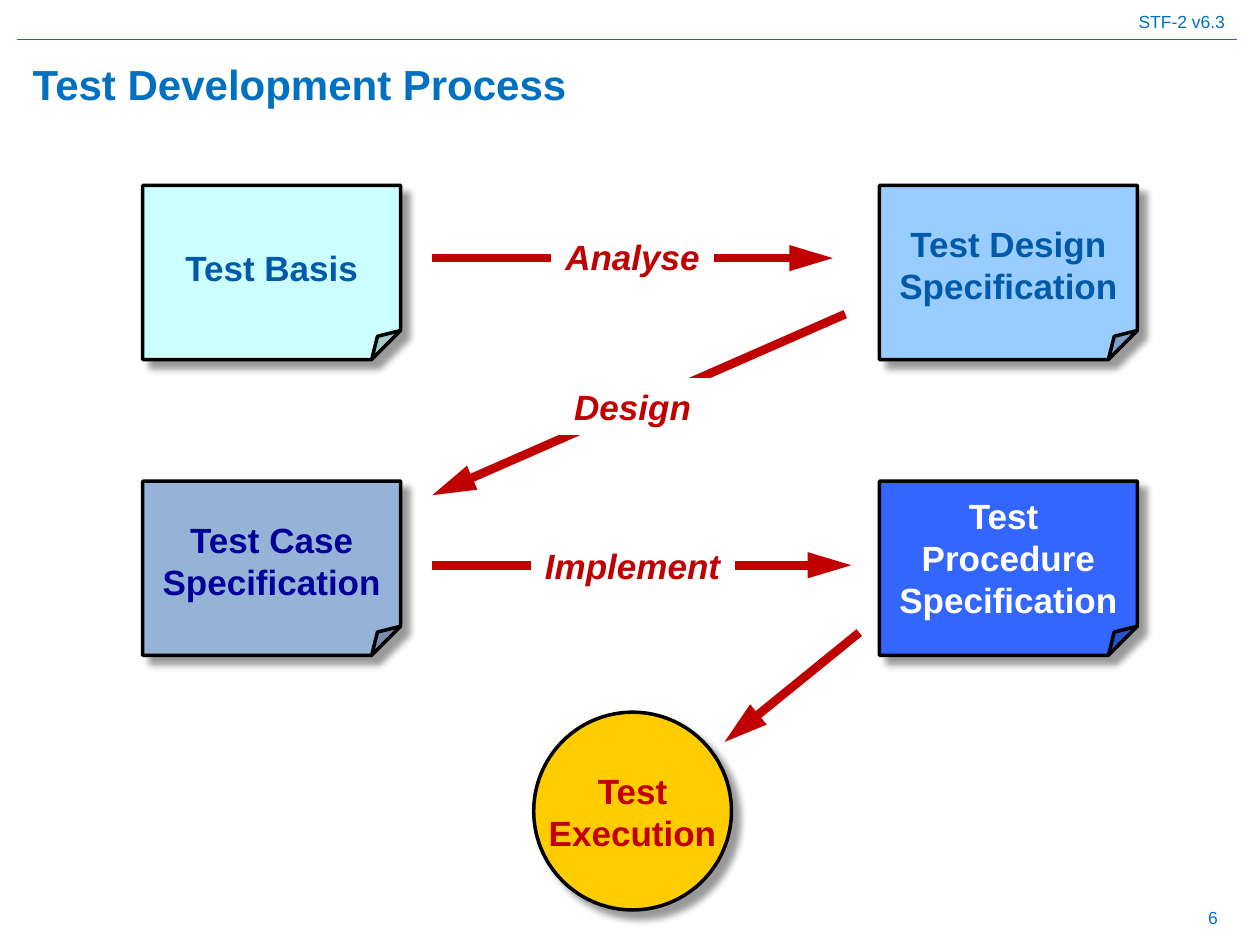
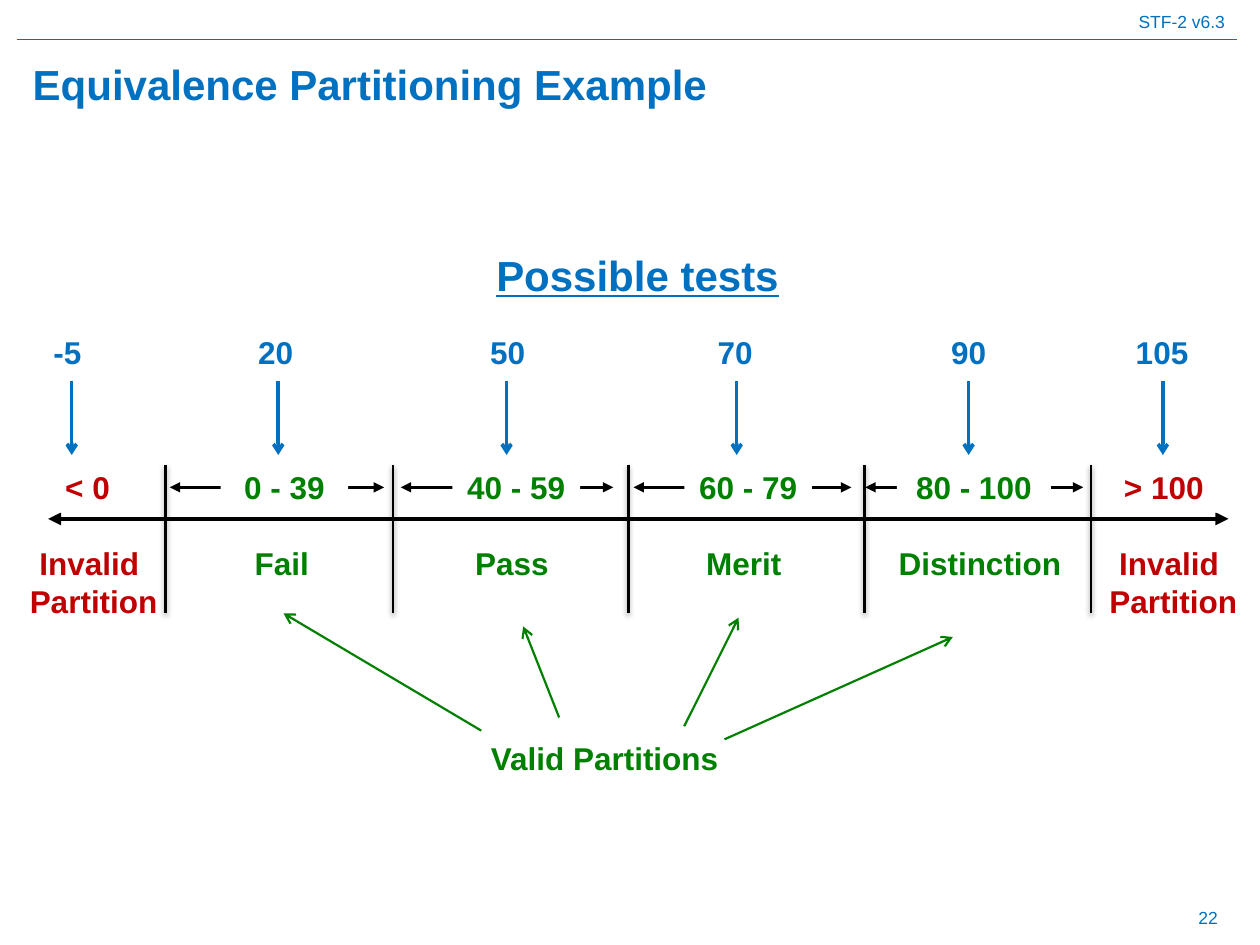
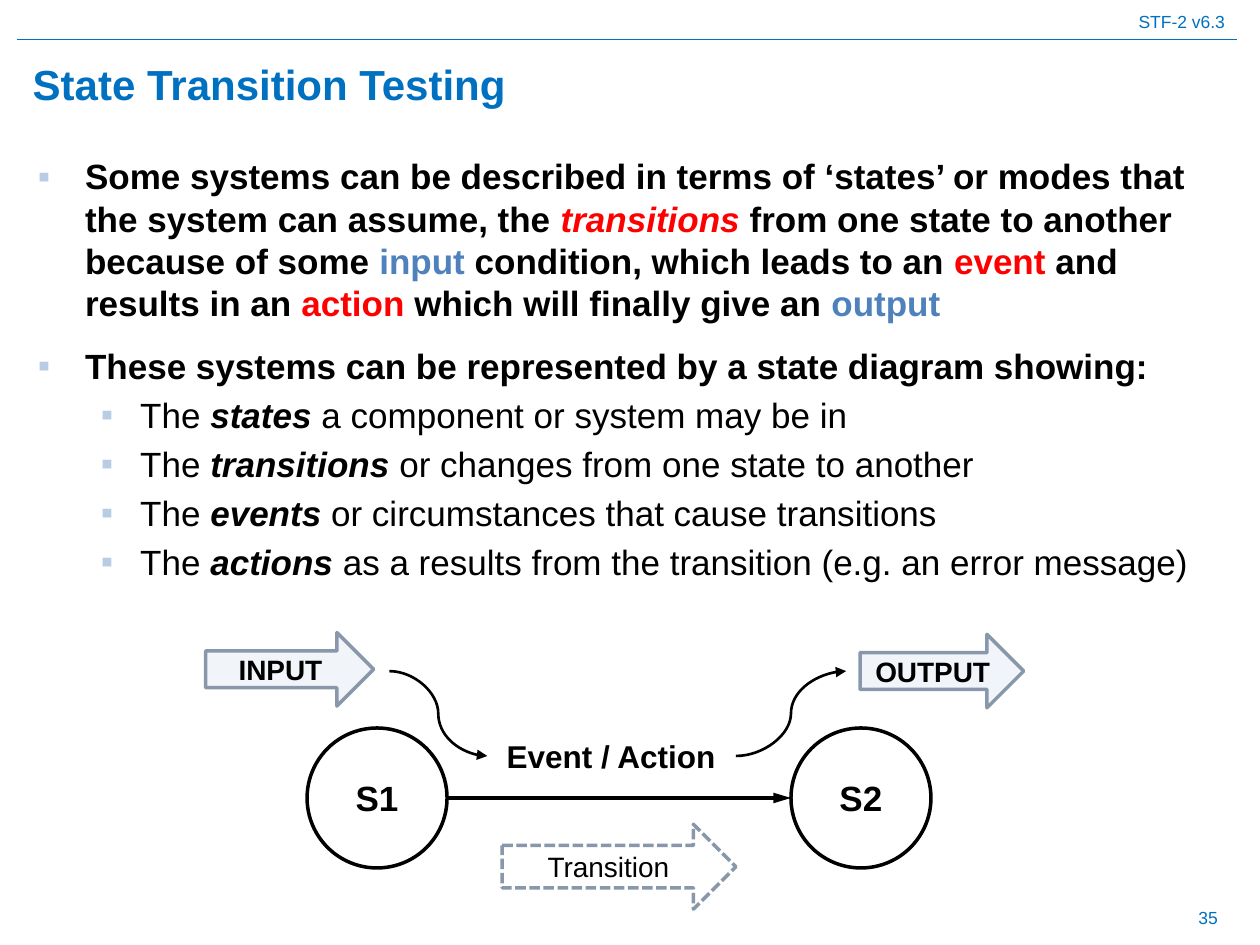
from dataclasses import dataclass, replace

from lxml.etree import SubElement
from pptx import Presentation
from pptx.dml.color import RGBColor
from pptx.enum.dml import MSO_LINE as Dash
from pptx.enum.shapes import MSO_CONNECTOR as Link, MSO_SHAPE as Shape
from pptx.enum.text import MSO_ANCHOR as Anchor, MSO_AUTO_SIZE as AutoSize, PP_ALIGN as Align
from pptx.oxml.ns import qn
from pptx.util import Pt


@dataclass(frozen=True)
class Theme:
    font: str = "Arial"
    blue: str = "0070C0"
    deep_blue: str = "005AA9"
    navy: str = "000099"
    red: str = "C00000"
    bright_red: str = "FF0000"
    steel: str = "4F81BD"
    green: str = "008000"
    black: str = "000000"
    white: str = "FFFFFF"
    bullet: str = "B8CCE4"
    arrow_fill: str = "F1F5FA"
    arrow_edge: str = "8897A9"
    small: int = 10
    label: int = 16
    scale: int = 18
    body: int = 20
    title: int = 24


THEME = Theme()


@dataclass(frozen=True)
class TextStyle:
    size: int
    colour: str
    bold: bool = True
    italic: bool = False
    underline: bool = False


@dataclass(frozen=True)
class Shadow:
    opacity: int
    blur: float
    distance: float
    angle: int


CARD_SHADOW = Shadow(40, 4, 6, 45)
DIVIDER_SHADOW = Shadow(38, 3.1, 1.6, 90)

TITLE = TextStyle(THEME.title, THEME.blue)
FRAME = TextStyle(THEME.small, THEME.blue, bold=False)
STEP = TextStyle(THEME.body, THEME.red, italic=True)
BODY = TextStyle(THEME.body, THEME.black)
ARROW_LABEL = TextStyle(THEME.label, THEME.black)


def rgb(colour):
    return RGBColor.from_string(colour)


def style_font(font, style):
    font.name = THEME.font
    font.size = Pt(style.size)
    font.bold = style.bold
    font.italic = style.italic
    font.underline = style.underline
    font.color.rgb = rgb(style.colour)


def write_lines(frame, text, style, align=Align.CENTER, anchor=Anchor.MIDDLE):
    """Fill the frame with one paragraph for each line of text."""
    frame.auto_size = AutoSize.NONE
    frame.vertical_anchor = anchor
    frame.text = text
    for paragraph in frame.paragraphs:
        paragraph.alignment = align
        style_font(paragraph.font, style)


def set_effects(element, shadow=None):
    """Replace the theme's shadow by the given one, or by none."""
    effects = SubElement(element.spPr, qn("a:effectLst"))
    if shadow:
        outer = SubElement(effects, qn("a:outerShdw"), blurRad=str(Pt(shadow.blur)),
                           dist=str(Pt(shadow.distance)), dir=str(shadow.angle * 60000),
                           algn="ctr", rotWithShape="0")
        colour = SubElement(outer, qn("a:srgbClr"), val=THEME.black)
        SubElement(colour, qn("a:alpha"), val=str(shadow.opacity * 1000))


def add_text(slide, box, text, style, align=Align.LEFT, anchor=Anchor.TOP):
    frame = slide.shapes.add_textbox(*map(Pt, box)).text_frame
    frame.word_wrap = True
    write_lines(frame, text, style, align, anchor)


def add_node(slide, kind, box, text, style, fill=THEME.white, edge=THEME.black,
             edge_width=2, shadow=None, anchor=Anchor.MIDDLE):
    node = slide.shapes.add_shape(kind, *map(Pt, box))
    node.fill.solid()
    node.fill.fore_color.rgb = rgb(fill)
    if edge:
        node.line.color.rgb = rgb(edge)
        node.line.width = Pt(edge_width)
    else:
        node.line.fill.background()
    set_effects(node.element, shadow)
    node.text_frame.word_wrap = False
    write_lines(node.text_frame, text, style, anchor=anchor)
    return node


def add_label(slide, box, text, style, edge=None, edge_width=1):
    """Add a white label that hides the lines beneath it."""
    add_node(slide, Shape.RECTANGLE, box, text, style, edge=edge,
             edge_width=edge_width, anchor=Anchor.TOP)


def add_line(slide, start, end, colour, width, head=None, tail=None, length="med",
             shadow=None, kind=Link.STRAIGHT):
    line = slide.shapes.add_connector(kind, *map(Pt, (*start, *end)))
    line.line.color.rgb = rgb(colour)
    line.line.width = Pt(width)
    outline = line.element.spPr.find(qn("a:ln"))
    for tag, arrow in (("a:headEnd", head), ("a:tailEnd", tail)):
        if arrow:
            SubElement(outline, qn(tag), type=arrow, w="med", len=length)
    set_effects(line.element, shadow)


def add_bullet(paragraph, level, runs, gap):
    """Write a bullet from (text, style) runs."""
    margin, hang = ((27, 27), (58.5, 22.5))[level]
    paragraph.level = level
    properties = paragraph._p.get_or_add_pPr()
    properties.set("marL", str(Pt(margin)))
    properties.set("indent", str(-Pt(hang)))
    colour = SubElement(properties, qn("a:buClr"))
    SubElement(colour, qn("a:srgbClr"), val=THEME.bullet)
    SubElement(properties, qn("a:buFont"), typeface=THEME.font)
    SubElement(properties, qn("a:buChar"), char="▪")
    paragraph.space_before = Pt(gap)
    base = runs[0][1]
    style_font(paragraph.font, base)
    for text, style in runs:
        run = paragraph.add_run()
        run.text = text
        if style != base:
            style_font(run.font, style)


def add_titled_slide(deck, title, number):
    slide = deck.slides.add_slide(deck.slide_layouts[5])
    heading = slide.shapes.title
    heading.left, heading.top, heading.width, heading.height = map(Pt, (11.5, 28, 692, 39.5))
    write_lines(heading.text_frame, title, TITLE, Align.LEFT)
    add_text(slide, (0, 3, 707, 19.5), "STF-2 v6.3", FRAME, Align.RIGHT)
    add_line(slide, (9.5, 22.5), (707, 22.5), THEME.blue, 0.75)
    add_text(slide, (535, 510.5, 168, 28), str(number), FRAME, Align.RIGHT, Anchor.MIDDLE)
    return slide


def build_process(deck):
    slide = add_titled_slide(deck, "Test Development Process", 6)
    left, right, upper, lower = 81.5, 502.5, 106, 275
    documents = (
        (left, upper, "Test Basis", "CCFFFF", THEME.deep_blue),
        (right, upper, "Test Design\nSpecification", "99CCFF", THEME.deep_blue),
        (left, lower, "Test Case\nSpecification", "95B3D7", THEME.navy),
        (right, lower, "Test \nProcedure\nSpecification", "3366FF", THEME.white),
    )
    for x, y, text, fill, colour in documents:
        card = add_node(slide, Shape.FOLDED_CORNER, (x, y, 147.5, 99.5), text,
                        replace(BODY, colour=colour), fill, shadow=CARD_SHADOW)
        card.text_frame.margin_top = Pt(17 - 3 * len(card.text_frame.paragraphs))
    add_node(slide, Shape.OVAL, (305, 407, 113, 113), "Test\nExecution",
             replace(BODY, colour=THEME.red), "FFCC00", shadow=CARD_SHADOW)

    flows = (
        ((247, 147.5), (476, 147.5)),
        ((483, 179.5), (247, 283)),
        ((247, 323), (486.5, 323)),
        ((491, 361.5), (414, 424)),
    )
    for start, end in flows:
        add_line(slide, start, end, THEME.red, 5, tail="triangle", length="lg")
    steps = (("Analyse", 131, 92), ("Design", 216.5, 106), ("Implement", 307.5, 115.5))
    for text, top, width in steps:
        add_label(slide, (361.5 - width / 2, top, width, 31.5), text, STEP, THEME.white)


@dataclass(frozen=True)
class Partition:
    """One range of marks; each x is the centre of its part."""
    test: str
    marks: str
    grade: str
    colour: str
    test_x: float
    pointer_x: float
    marks_x: float
    grade_x: float
    marks_width: float = 73
    grade_width: float = 113
    grade_height: float = 29


PARTITIONS = (
    Partition("-5", "< 0", "Invalid \nPartition", THEME.red, 38.5, 41, 50, 53.5, 68, 98, 50.5),
    Partition("20", "0 - 39", "Fail", THEME.green, 157.5, 159, 162.5, 161),
    Partition("50", "40 - 59", "Pass", THEME.green, 290, 289.5, 295, 292.5),
    Partition("70", "60 - 79", "Merit", THEME.green, 420, 421, 427.5, 425),
    Partition("90", "80 - 100", "Distinction", THEME.green, 553.5, 553.5, 556.5, 560, 88, 129),
    Partition("105", "> 100", "Invalid \nPartition", THEME.red,
              664, 664.5, 665, 670.5, 68, 93, 50.5),
)


def build_partitions(deck):
    slide = add_titled_slide(deck, "Equivalence Partitioning Example", 22)
    add_line(slide, (27.5, 296.5), (702, 296.5), THEME.black, 2.5, "triangle", "triangle")
    for start, end in ((97, 219.5), (229, 350.5), (362, 486.5), (494.5, 619)):
        add_line(slide, (end, 278.5), (start, 278.5), THEME.black, 1.5, "triangle", "triangle")

    for part in PARTITIONS:
        labels = (
            (part.test, THEME.blue, part.test_x, 187, part.marks_width, 29),
            (part.marks, part.colour, part.marks_x, 264, part.marks_width, 29),
            (part.grade, part.colour, part.grade_x, 307.5, part.grade_width, part.grade_height),
        )
        for text, colour, centre, top, width, height in labels:
            add_label(slide, (centre - width / 2, top, width, height), text,
                      TextStyle(THEME.scale, colour))
        add_line(slide, (part.pointer_x, 217.5), (part.pointer_x, 260), THEME.blue, 2,
                 tail="arrow")
    for x in (94.5, 224.5, 359, 494, 623.5):
        add_line(slide, (x, 265.5), (x, 350.5), THEME.black, 1.5, shadow=DIVIDER_SHADOW)

    add_label(slide, (252, 419, 187, 29), "Valid Partitions", TextStyle(THEME.scale, THEME.green))
    valid_pointers = (
        ((275, 417.5), (162, 350.5)),
        ((319.5, 410), (299, 358)),
        ((391, 415), (422, 353)),
        ((414, 422.5), (544.5, 364)),
    )
    for start, end in valid_pointers:
        add_line(slide, start, end, THEME.green, 1.25, tail="arrow")
    add_text(slide, (276.5, 139, 182, 36), "Possible tests", replace(TITLE, underline=True))


def build_transitions(deck):
    slide = add_titled_slide(deck, "State Transition Testing", 35)
    red = replace(BODY, colour=THEME.bright_red)
    steel = replace(BODY, colour=THEME.steel)
    plain = replace(BODY, bold=False)
    term = replace(BODY, italic=True)
    bullets = [
        (0, 0, [
            ("Some systems can be described in terms of ‘states’ or modes that "
             "the system can assume, the ", BODY),
            ("transitions", replace(red, italic=True)),
            (" from one state to another because of some ", BODY),
            ("input", steel),
            (" condition, which leads to an ", BODY),
            ("event", red),
            (" and results in an ", BODY),
            ("action", red),
            (" which will finally give an ", BODY),
            ("output", steel),
        ]),
        (0, 12, [("These systems can be represented by a state diagram showing:", BODY)]),
    ]
    diagram_parts = (
        ("states", " a component or system may be in"),
        ("transitions", " or changes from one state to another"),
        ("events", " or circumstances that cause transitions"),
        ("actions", " as a results from the transition (e.g. an error message)"),
    )
    for name, meaning in diagram_parts:
        bullets.append((1, 4, [("The ", plain), (name, term), (meaning, plain)]))

    frame = slide.shapes.add_textbox(*map(Pt, (14.5, 85, 695, 265))).text_frame
    frame.word_wrap = True
    for index, (level, gap, runs) in enumerate(bullets):
        paragraph = frame.add_paragraph() if index else frame.paragraphs[0]
        add_bullet(paragraph, level, runs, gap)

    for state, x in (("S1", 175.5), ("S2", 452)):
        add_node(slide, Shape.OVAL, (x, 416, 80, 80), state, BODY)
    add_line(slide, (255.5, 456), (452, 456), THEME.black, 2, tail="triangle", length="lg")
    for text, box in (("INPUT", (117.5, 361.5, 96, 42)), ("OUTPUT", (491.5, 362.5, 93.5, 42))):
        add_node(slide, Shape.RIGHT_ARROW, box, text, ARROW_LABEL, THEME.arrow_fill,
                 THEME.arrow_edge)
    add_label(slide, (294.5, 417.5, 109.5, 34), "Event / Action",
              TextStyle(THEME.scale, THEME.black), THEME.white, 0.75)
    for start, end in (((222.5, 383.5), (278.5, 432)), ((420.5, 432), (483.5, 383.5))):
        add_line(slide, start, end, THEME.black, 1.5, tail="triangle", kind=Link.CURVE)
    transition = add_node(slide, Shape.RIGHT_ARROW, (287, 471, 133.5, 48.5), "Transition",
                          replace(ARROW_LABEL, bold=False), edge=THEME.arrow_edge)
    transition.line.dash_style = Dash.SQUARE_DOT


def main():
    deck = Presentation()
    deck.slide_width, deck.slide_height = Pt(720), Pt(540)
    build_process(deck)
    build_partitions(deck)
    build_transitions(deck)
    deck.save("out.pptx")


if __name__ == "__main__":
    main()
